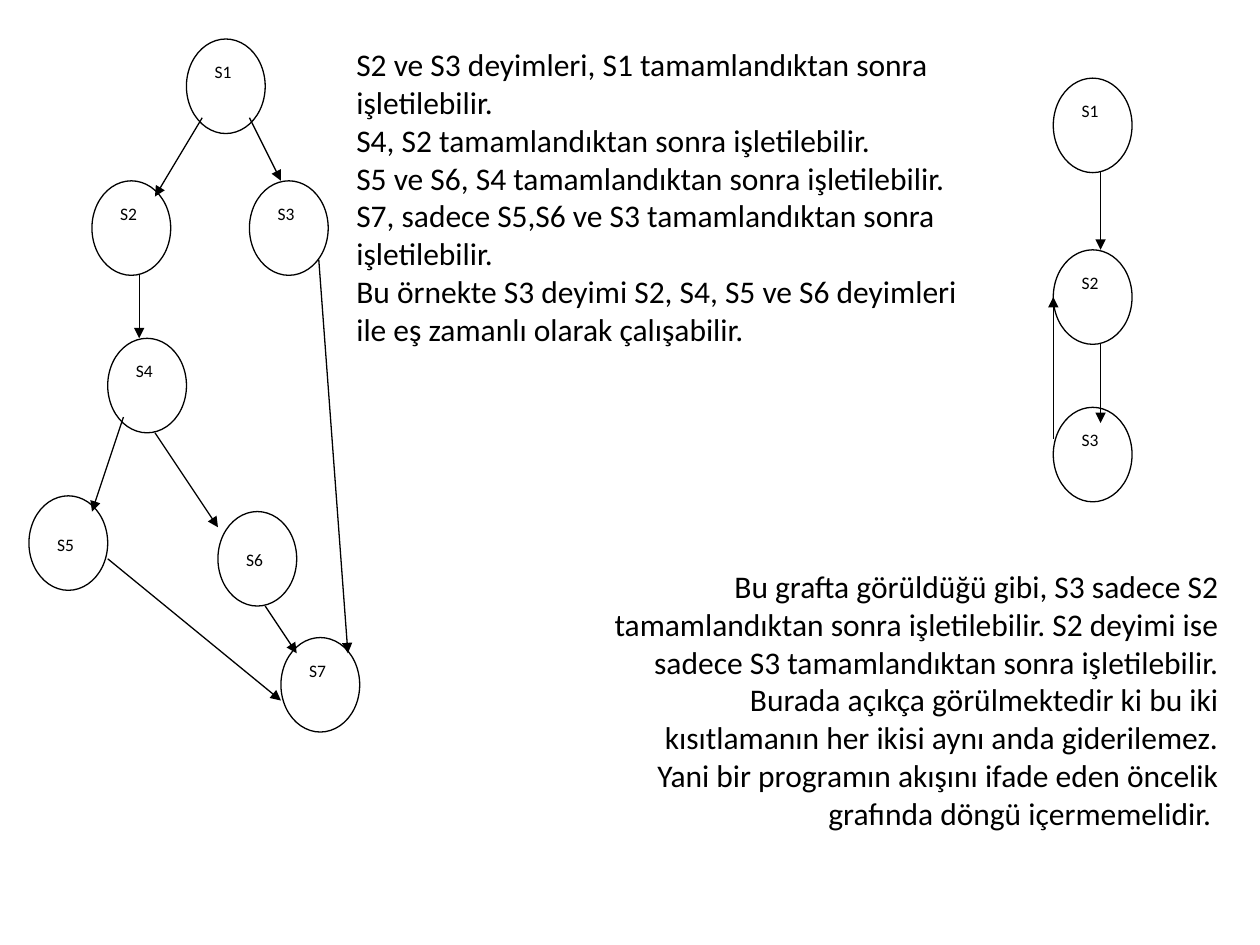
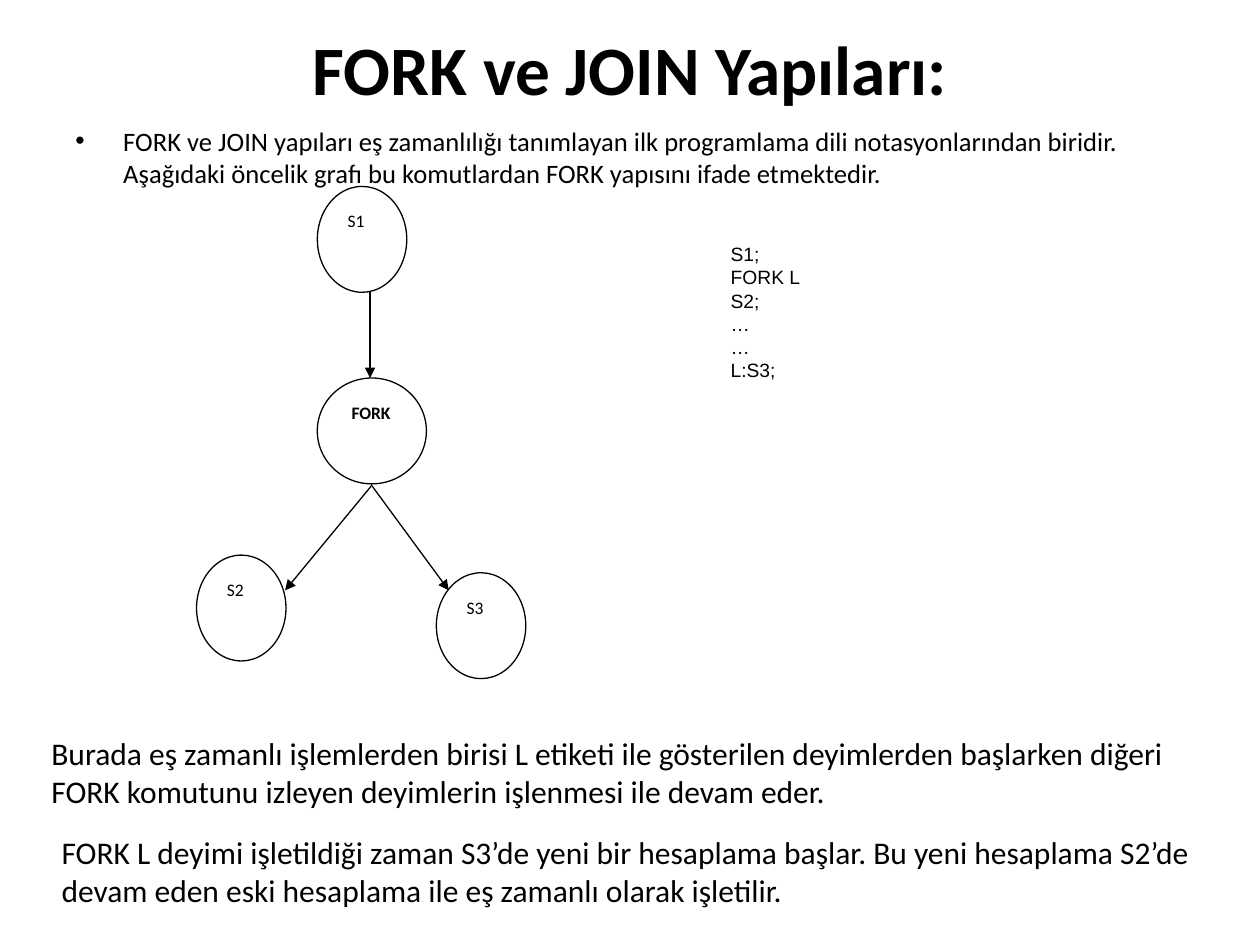
"""Two slides on precedence graphs and the FORK construct."""
from lxml import etree
from pptx import Presentation
from pptx import util as u
from pptx.dml.color import RGBColor
from pptx.enum import shapes, text
from pptx.oxml import ns

COLOURS = {"ink": "000000", "paper": "FFFFFF"}
ALIGN = text.PP_ALIGN
BODY = {"size": u.Pt(18), "name": "Calibri"}
LABEL = {"size": u.Pt(10), "name": "Calibri"}
TITLE = {"size": u.Pt(39.6), "name": "Calibri", "bold": True}
BULLET = {"size": u.Pt(15.2), "name": "Calibri"}
CODE = {"size": u.Pt(11), "name": "Arial"}
LINE_WIDTH = u.Pt(0.75)
NODE_WIDTH, NODE_HEIGHT = 5, 6


def colour(key):
    """Return a named colour of the palette."""
    return RGBColor.from_string(COLOURS[key])


def apply(target, values):
    """Set each attribute in a dict of format values."""
    for name, value in values.items():
        setattr(target, name, value)


def write(frame, lines, font, paragraph_format=None, **frame_format):
    """Fill a text frame with one paragraph for each line."""
    apply(frame, {"word_wrap": True, **frame_format})
    for index, line in enumerate(lines):
        paragraph = frame.add_paragraph() if index else frame.paragraphs[0]
        apply(paragraph, {"alignment": ALIGN.LEFT, **(paragraph_format or {})})
        run = paragraph.add_run()
        run.text = line
        apply(run.font, font)
        run.font.color.rgb = colour("ink")


def add_text(slide, box, lines, font, paragraph_format=None, **frame_format):
    """Add a text box at left, top, width, height in inches."""
    shape = slide.shapes.add_textbox(*map(u.Inches, box))
    write(shape.text_frame, lines, font, paragraph_format, **frame_format)
    return shape


def add_bullet(slide, box, line):
    """Add one bulleted paragraph with a hanging indent."""
    shape = add_text(slide, box, [line], BULLET)
    properties = shape.text_frame.paragraphs[0]._p.get_or_add_pPr()
    indent = u.Inches(0.38)
    properties.set("marL", str(indent))
    properties.set("indent", str(-indent))
    etree.SubElement(properties, ns.qn("a:buFont"), typeface="Arial")
    etree.SubElement(properties, ns.qn("a:buChar"), char="•")


def add_filled(group, kind, box):
    """Add a white preset shape without outline or shadow."""
    shape = group.shapes.add_shape(kind, *map(u.Inches, box))
    shape.shadow.inherit = False
    shape.fill.solid()
    shape.fill.fore_color.rgb = colour("paper")
    shape.line.fill.background()
    return shape


def add_node(group, box, name, label_drop, bold):
    """Add an ellipse with its label box inside."""
    left, top, width, height = box
    ellipse = add_filled(group, shapes.MSO_SHAPE.OVAL, box)
    ellipse.line.color.rgb = colour("ink")
    ellipse.line.width = LINE_WIDTH
    label = add_filled(group, shapes.MSO_SHAPE.RECTANGLE,
                       (left + width / 5, top + height * label_drop, width * 0.6, height / 2))
    write(label.text_frame, [name], {**LABEL, "bold": bold}, {"space_after": u.Pt(10)},
          vertical_anchor=text.MSO_ANCHOR.TOP, margin_right=0)


def add_arrow(group, start, end):
    """Add a thin line with a triangle at its end."""
    connector = group.shapes.add_connector(
        shapes.MSO_CONNECTOR.STRAIGHT, *map(u.Inches, (*start, *end)))
    connector.line.color.rgb = colour("ink")
    connector.line.width = LINE_WIDTH
    etree.SubElement(connector.line._get_or_add_ln(), ns.qn("a:tailEnd"), type="triangle")
    etree.SubElement(connector._element.spPr, ns.qn("a:effectLst"))


def precedence_graph(slide, origin, unit, nodes, arrows):
    """Draw nodes and arrows, given in grid units from the origin."""
    group = slide.shapes.add_group_shape()

    def place(column, row):
        """Turn a grid position into inches."""
        return origin[0] + column * unit[0], origin[1] + row * unit[1]

    for name, column, row, *options in nodes:
        settings = {"width": NODE_WIDTH, "drop": 1 / 6, "bold": False}
        settings.update(*options)
        size = settings["width"] * unit[0], NODE_HEIGHT * unit[1]
        add_node(group, (*place(column, row), *size), name, settings["drop"], settings["bold"])
    for start, end in arrows:
        add_arrow(group, place(*start), place(*end))


def precedence_slide(slide):
    """Build the slide with a valid graph and a cyclic one."""
    unit = (0.125, 0.125)
    low_label = {"drop": 1 / 3}
    precedence_graph(
        slide, (0.23, 0.31), unit,
        [("S1", 10, 0), ("S2", 4, 9), ("S3", 14, 9), ("S4", 5, 19),
         ("S5", 0, 29, low_label), ("S6", 12, 30, low_label), ("S7", 16, 38)],
        [((11, 5), (8, 10)), ((14, 5), (16, 9)), ((7, 15), (7, 19)), ((6, 24), (4, 30)),
         ((18.4, 14), (20.25, 39)), ((8, 25), (12, 31)), ((15, 36), (17, 39)),
         ((5, 33), (16, 42))])
    precedence_graph(
        slide, (8.36, 0.62), unit,
        [("S1", 0, 0), ("S2", 0, 10.9), ("S3", 0, 20.9)],
        [((3, 5.9), (3, 10.9)), ((3, 16.9), (3, 21.9)), ((0, 22.9), (0, 13.9))])
    add_text(slide, (4.77, 4.45, 5, 2.22), [
        "Bu grafta görüldüğü gibi, S3 sadece S2 tamamlandıktan sonra işletilebilir. "
        "S2 deyimi ise sadece S3 tamamlandıktan sonra işletilebilir. Burada açıkça "
        "görülmektedir ki bu iki kısıtlamanın her ikisi aynı anda giderilemez. "
        "Yani bir programın akışını ifade eden öncelik grafında döngü içermemelidir. "],
        BODY, {"alignment": ALIGN.RIGHT})
    add_text(slide, (2.73, 0.31, 5, 2.52), [
        "S2 ve S3 deyimleri, S1 tamamlandıktan sonra işletilebilir.",
        "S4, S2 tamamlandıktan sonra işletilebilir.",
        "S5 ve S6, S4 tamamlandıktan sonra işletilebilir.",
        "S7, sadece S5,S6 ve S3 tamamlandıktan sonra işletilebilir.",
        "Bu örnekte S3 deyimi S2, S4, S5 ve S6 deyimleri ile eş zamanlı olarak çalışabilir."],
        BODY)


def fork_slide(slide):
    """Build the slide on FORK with its graph and code."""
    middle = {"vertical_anchor": text.MSO_ANCHOR.MIDDLE}
    add_text(slide, (0.5, 0.3, 9, 0.48), ["FORK ve JOIN Yapıları:"], TITLE,
             {"alignment": ALIGN.CENTER}, **middle)
    add_bullet(slide, (0.5, 0.94, 9, 0.78),
               "FORK ve JOIN yapıları eş zamanlılığı tanımlayan ilk programlama dili "
               "notasyonlarından biridir. Aşağıdaki öncelik grafı bu komutlardan FORK "
               "yapısını ifade etmektedir.")
    precedence_graph(
        slide, (1.56, 1.48), (0.142, 0.14),
        [("S1", 6.75, 0), ("FORK", 6.75, 10.86, {"width": 6.1, "bold": True}),
         ("S2", 0, 20.9), ("S3", 13.4, 21.9)],
        [((9.7, 5.9), (9.7, 10.86)), ((9.75, 16.9), (14.1, 22.9)),
         ((9.75, 17), (4.95, 22.9))])
    add_text(slide, (5.7, 1.87, 1.64, 1.21),
             ["S1;", "FORK L", "S2;", "…", "…", "L:S3;"], CODE,
             {"line_spacing": u.Pt(13.3)}, **middle)
    add_text(slide, (0.31, 5.78, 9.53, 0.71), [
        "Burada eş zamanlı işlemlerden birisi L etiketi ile gösterilen deyimlerden "
        "başlarken diğeri FORK komutunu izleyen deyimlerin işlenmesi ile devam eder."], BODY)
    add_text(slide, (0.39, 6.56, 9.61, 0.71), [
        "FORK L deyimi işletildiği zaman S3’de yeni bir hesaplama başlar. Bu yeni "
        "hesaplama S2’de devam eden eski hesaplama ile eş zamanlı olarak işletilir."], BODY)


def main():
    """Create the presentation and save it."""
    presentation = Presentation()
    apply(presentation, {"slide_width": u.Inches(10), "slide_height": u.Inches(7.5)})
    for build in (precedence_slide, fork_slide):
        build(presentation.slides.add_slide(presentation.slide_layouts[6]))
    presentation.save("out.pptx")


main()
